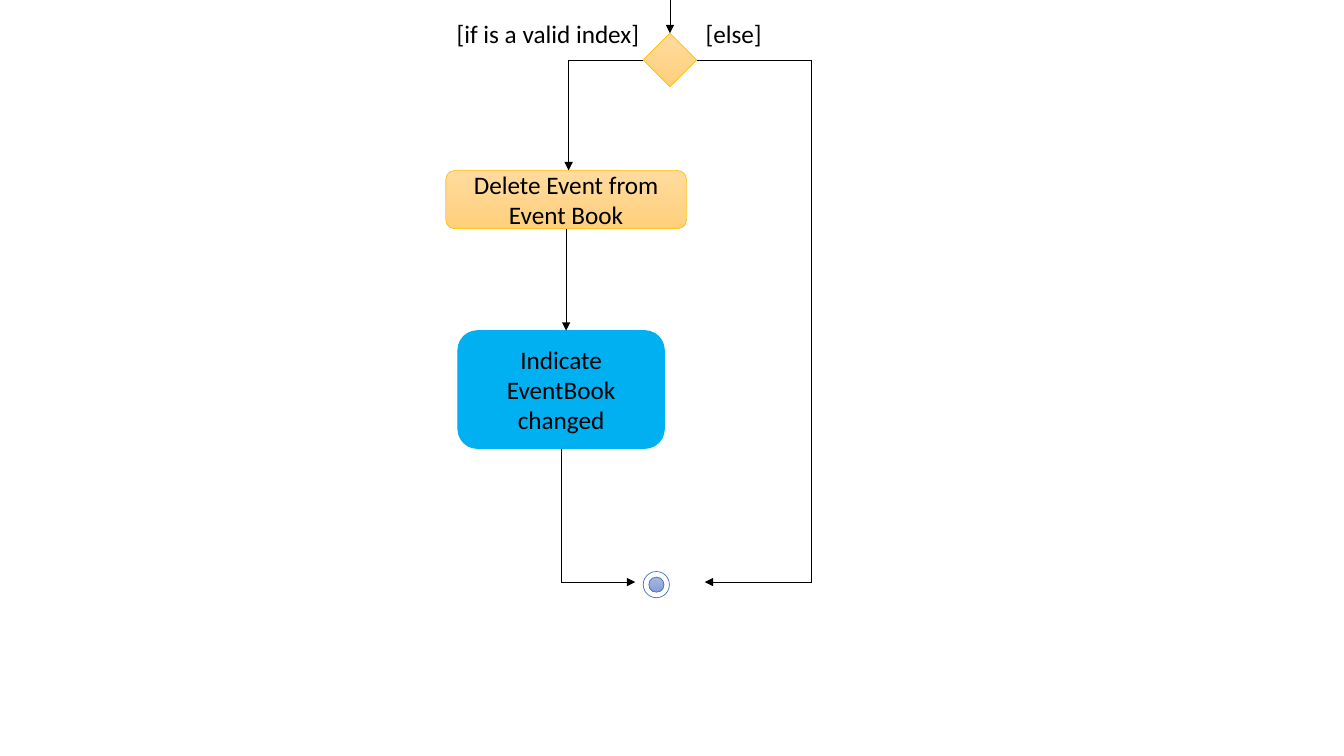
import lxml.etree
import pptx
import pptx.dml.color
import pptx.enum.shapes
import pptx.enum.text
import pptx.oxml.ns
import pptx.util

SHAPE = pptx.enum.shapes.MSO_SHAPE
WIDTH, HEIGHT = pptx.util.Inches(13.33), pptx.util.Inches(7.5)
ROWS = 75
BLACK, AMBER, BLUE, SKY = "000000", "FFC000", "4472C4", "00B0F0"
AMBER_FADE = ("FFDB9E", "FFD07C")
BLUE_FADE = ("A8B7DF", "889ED7")
TOP, LEFT, BOTTOM, RIGHT = range(4)


def grid(*cells):
    """Turn counts of square cells, 75 to the slide height, into lengths."""
    return [round(n * HEIGHT / ROWS) for n in cells]


def rgb(code):
    return pptx.dml.color.RGBColor.from_string(code)


def add_label(sp, text):
    r = sp.text_frame.paragraphs[0].add_run()
    r.text = text
    r.font.name = "Calibri"
    r.font.size = pptx.util.Pt(18)
    r.font.color.rgb = rgb(BLACK)


def add_node(shapes, kind, box, fill, outline, text=None):
    """Add a flowchart shape; fill is one colour or a top and bottom pair."""
    sp = shapes.add_shape(kind, *grid(*box))
    sp.shadow.inherit = False
    if isinstance(fill, str):
        sp.fill.solid()
        sp.fill.fore_color.rgb = rgb(fill)
    else:
        sp.fill.gradient()
        sp.fill.gradient_angle = 270
        for stop, code in zip(sp.fill.gradient_stops, fill):
            stop.color.rgb = rgb(code)
    sp.line.color.rgb = rgb(outline)
    sp.line.width = pptx.util.Pt(0.5)
    if text:
        tf = sp.text_frame
        tf.word_wrap = True
        tf.vertical_anchor = pptx.enum.text.MSO_ANCHOR.MIDDLE
        tf.paragraphs[0].alignment = pptx.enum.text.PP_ALIGN.CENTER
        add_label(sp, text)
    return sp


def add_guard(s, box, text):
    sp = s.shapes.add_textbox(*grid(*box))
    sp.text_frame.word_wrap = True
    sp.text_frame.auto_size = pptx.enum.text.MSO_AUTO_SIZE.SHAPE_TO_FIT_TEXT
    add_label(sp, text)


def add_flow(s, start, end, arrow=False, begin=None, finish=None):
    """Add a line; begin and finish are (shape, side) pairs to join."""
    line = s.shapes.add_connector(
        pptx.enum.shapes.MSO_CONNECTOR.STRAIGHT, *grid(*start, *end))
    line.line.color.rgb = rgb(BLACK)
    line.line.width = pptx.util.Pt(0.5)
    qn = pptx.oxml.ns.qn
    if arrow:
        lxml.etree.SubElement(line.line._get_or_add_ln(), qn("a:tailEnd"),
                              type="triangle")
    lxml.etree.SubElement(line._element.spPr, qn("a:effectLst"))
    if begin:
        line.begin_connect(*begin)
    if finish:
        line.end_connect(*finish)


def add_end_node(s):
    group = s.shapes.add_group_shape()
    add_node(group.shapes, SHAPE.OVAL, (63.8, 56.7, 2.6, 2.6), "FFFFFF", BLUE)
    add_node(group.shapes, SHAPE.OVAL, (64.35, 57.25, 1.5, 1.5), BLUE_FADE, BLUE)


def main():
    prs = pptx.Presentation()
    prs.slide_width, prs.slide_height = WIDTH, HEIGHT
    s = prs.slides.add_slide(prs.slide_layouts[6])

    choice = add_node(s.shapes, SHAPE.DIAMOND, (63.8, 3.3, 5.3, 5.3),
                      AMBER_FADE, AMBER)
    delete = add_node(s.shapes, SHAPE.ROUNDED_RECTANGLE, (44.2, 16.9, 23.9, 5.8),
                      AMBER_FADE, AMBER, "Delete Event from Event Book")
    indicate = add_node(s.shapes, SHAPE.ROUNDED_RECTANGLE, (45.4, 32.8, 20.5, 11.7),
                        SKY, SKY, "Indicate EventBook changed")
    add_end_node(s)

    add_guard(s, (44.3, 1.3, 20.8, 4), "[if is a valid index]")
    add_guard(s, (69, 1.3, 9.3, 4), "[else]")

    fork, valid, other, close = 5.95, 56.4, 80.5, 57.75
    add_flow(s, (66.45, 0), (66.45, 3.3), True, finish=(choice, TOP))
    add_flow(s, (63.8, fork), (valid, fork), begin=(choice, LEFT))
    add_flow(s, (valid, fork), (valid, 16.9), True)
    add_flow(s, (56.15, 22.7), (56.15, 32.8), True, begin=(delete, BOTTOM))
    add_flow(s, (55.65, 44.5), (55.65, close), begin=(indicate, BOTTOM))
    add_flow(s, (55.65, close), (63, close), True)
    add_flow(s, (69.1, fork), (other, fork), begin=(choice, RIGHT))
    add_flow(s, (other, fork), (other, close))
    add_flow(s, (other, close), (69.9, close), True)

    prs.save("out.pptx")


if __name__ == "__main__":
    main()
